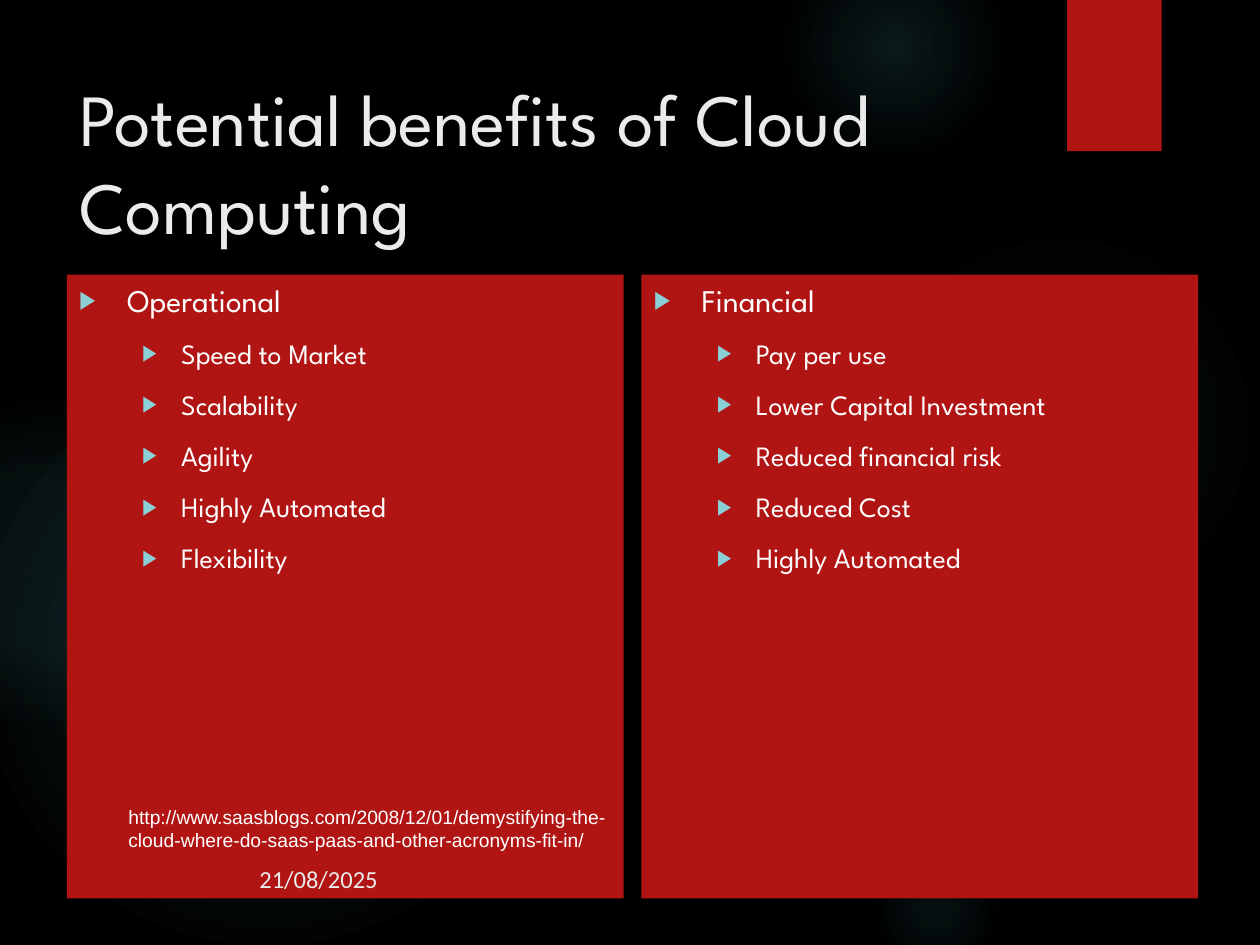
from lxml import etree
from pptx import Presentation
from pptx import util as u
from pptx.dml.color import RGBColor
from pptx.enum import shapes, text
from pptx.oxml import parse_xml
from pptx.oxml.ns import nsdecls, qn

BLACK = RGBColor(0x00, 0x00, 0x00)
RED = RGBColor(0xB0, 0x15, 0x13)
TEAL = RGBColor(0x50, 0xB9, 0xC1)
AQUA = RGBColor(0x8A, 0xD0, 0xD6)
WHITE = RGBColor(0xFF, 0xFF, 0xFF)
PALE = RGBColor(0xEB, 0xEB, 0xEB)
HEADING_FONT = "League Spartan"

TITLE = "Potential benefits of Cloud Computing"
BENEFITS = [
    ("Operational", ["Speed to Market", "Scalability", "Agility",
                     "Highly Automated", "Flexibility"]),
    ("Financial", ["Pay per use", "Lower Capital Investment",
                   "Reduced financial risk", "Reduced Cost", "Highly Automated"]),
]
DATE = "21/08/2025"
SOURCE = ("http://www.saasblogs.com/2008/12/01/demystifying-the-cloud-"
          "where-do-saas-paas-and-other-acronyms-fit-in/")

# left, top, diameter, then (position %, opacity %) of each gradient stop
GLOWS = [
    (6.89, 1.83, 3.08, [(0, 7), (36, 6), (69, 0)]),
    (6.22, -0.5, 1.75, [(0, 14), (36, 7), (73, 0)]),
    (6.89, 6.67, 1.08, [(0, 9), (36, 5), (66, 0)]),
    (-0.17, 2.92, 4.58, [(0, 11), (36, 10), (75, 0)]),
    (-0.92, 3.17, 2.58, [(0, 8), (36, 8), (72, 0)]),
]
MARGIN, PANEL_TOP = 0.53, 2.18
PANEL_WIDTH, PANEL_HEIGHT, GUTTER = 4.42, 4.95, 0.14
# size, left margin and hanging indent of each list level
LEVELS = [(18, 0.38, 0.38), (16, 0.81, 0.31)]


def inches(*lengths):
    return [u.Inches(length) for length in lengths]


def add_plain_shape(page, kind, *place):
    shape = page.shapes.add_shape(kind, *inches(*place))
    shape.shadow.inherit = False
    shape.line.fill.background()
    return shape


def add_glow(page, left, top, diameter, stops):
    """Add a circle whose teal fades outwards to transparent."""
    glow = add_plain_shape(page, shapes.MSO_SHAPE.OVAL, left, top, diameter, diameter)
    stop_xml = "".join(
        f'<a:gs pos="{position * 1000}"><a:srgbClr val="{TEAL}">'
        f'<a:alpha val="{opacity * 1000}"/></a:srgbClr></a:gs>'
        for position, opacity in stops)
    gradient = parse_xml(
        f'<a:gradFill {nsdecls("a")} rotWithShape="1"><a:gsLst>{stop_xml}</a:gsLst>'
        '<a:path path="circle"><a:fillToRect l="50000" t="50000" r="50000" b="50000"/>'
        '</a:path></a:gradFill>')
    glow._element.spPr.find(qn("a:prstGeom")).addnext(gradient)


def add_red_box(page, *place):
    box = add_plain_shape(page, shapes.MSO_SHAPE.RECTANGLE, *place)
    box.fill.solid()
    box.fill.fore_color.rgb = RED
    return box


def add_span(para, words, size, font, color):
    span = para.add_run()
    span.text = words
    span.font.size = u.Pt(size)
    span.font.name = font
    span.font.color.rgb = color


def set_bullet(para, margin, hanging):
    props = para._p.get_or_add_pPr()
    props.set("marL", str(u.Inches(margin)))
    props.set("indent", str(-u.Inches(hanging)))
    color = etree.SubElement(props, qn("a:buClr"))
    etree.SubElement(color, qn("a:srgbClr"), val=str(AQUA))
    etree.SubElement(props, qn("a:buSzPct"), val="80000")
    etree.SubElement(props, qn("a:buFont"), typeface="Arial")
    etree.SubElement(props, qn("a:buChar"), char="▶")


def add_panel(page, column, heading, points):
    left = MARGIN + column * (PANEL_WIDTH + GUTTER)
    frame = add_red_box(page, left, PANEL_TOP, PANEL_WIDTH, PANEL_HEIGHT).text_frame
    frame.word_wrap = True
    frame.vertical_anchor = text.MSO_ANCHOR.TOP
    lines = [(0, heading)] + [(1, point) for point in points]
    for number, (level, words) in enumerate(lines):
        para = frame.add_paragraph() if number else frame.paragraphs[0]
        size, margin, hanging = LEVELS[level]
        set_bullet(para, margin, hanging)
        para.level = level
        para.alignment = text.PP_ALIGN.LEFT
        if number:
            para.space_before = u.Pt(10)
        add_span(para, words, size, HEADING_FONT, WHITE)


def add_label(page, place, words, size, font, color, anchor):
    frame = page.shapes.add_textbox(*inches(*place)).text_frame
    frame.word_wrap = True
    frame.vertical_anchor = anchor
    add_span(frame.paragraphs[0], words, size, font, color)


def place_title(page):
    title = page.shapes.title
    title.left, title.top, title.width, title.height = inches(MARGIN, 0.5, 7.72, 1.53)
    frame = title.text_frame
    frame.word_wrap = True
    frame.auto_size = text.MSO_AUTO_SIZE.NONE
    frame.vertical_anchor = text.MSO_ANCHOR.BOTTOM
    para = frame.paragraphs[0]
    para.alignment = text.PP_ALIGN.LEFT
    add_span(para, TITLE, 42, HEADING_FONT, PALE)
    page.shapes._spTree.append(title._element)  # in front of the glows


def main():
    deck = Presentation()
    deck.slide_width, deck.slide_height = inches(10, 7.5)
    page = deck.slides.add_slide(deck.slide_layouts.get_by_name("Title Only"))
    page.background.fill.solid()
    page.background.fill.fore_color.rgb = BLACK

    for glow in GLOWS:
        add_glow(page, *glow)
    add_red_box(page, 8.47, 0, 0.75, 1.2)
    place_title(page)
    for column, (heading, points) in enumerate(BENEFITS):
        add_panel(page, column, heading, points)
    add_label(page, (1.96, 6.77, 2.92, 0.4), DATE, 14, "Calibri", PALE,
              text.MSO_ANCHOR.MIDDLE)
    add_label(page, (0.92, 6.34, 4.38, 0.47), SOURCE, 11, "Arial", WHITE,
              text.MSO_ANCHOR.TOP)
    deck.save("out.pptx")


if __name__ == "__main__":
    main()
